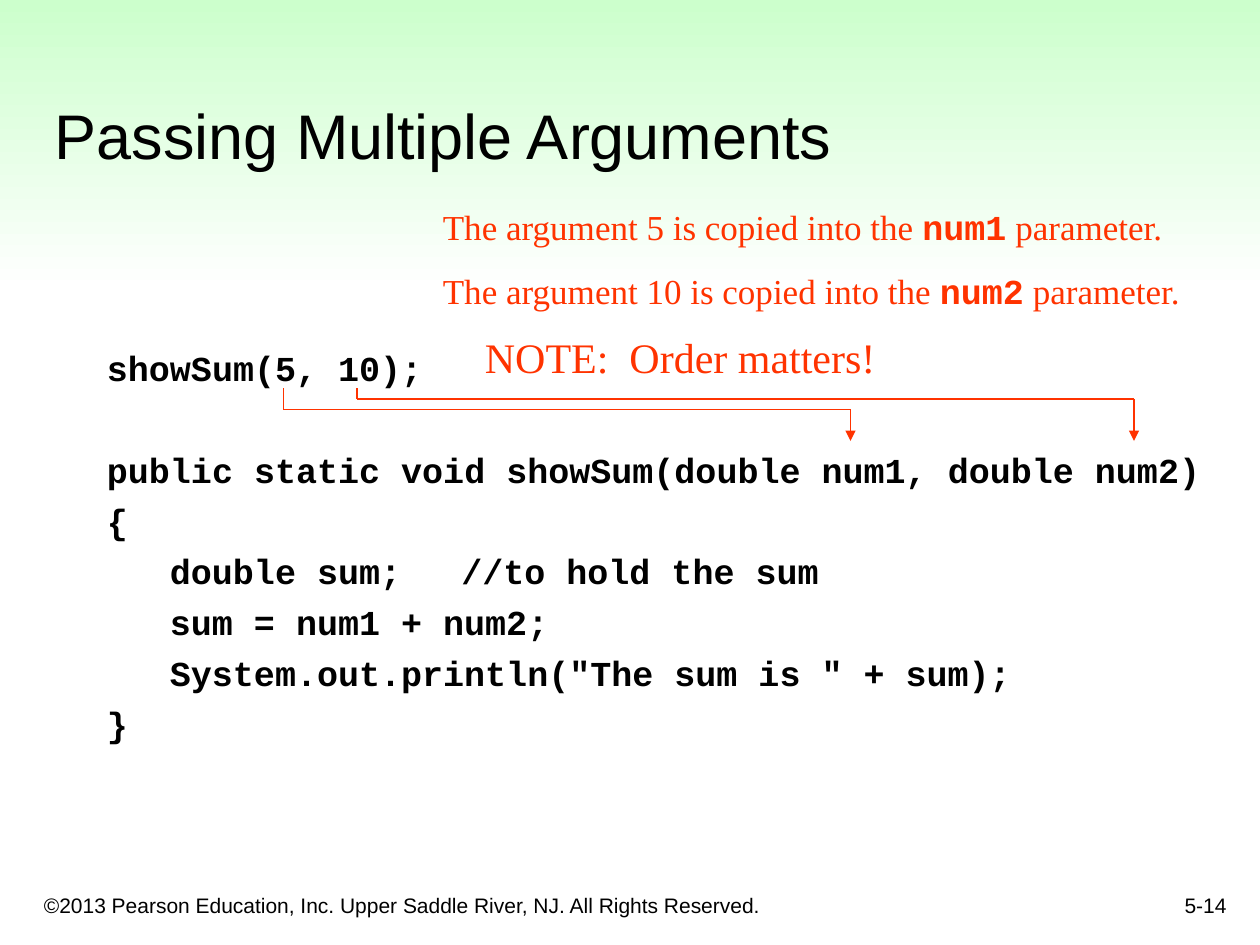
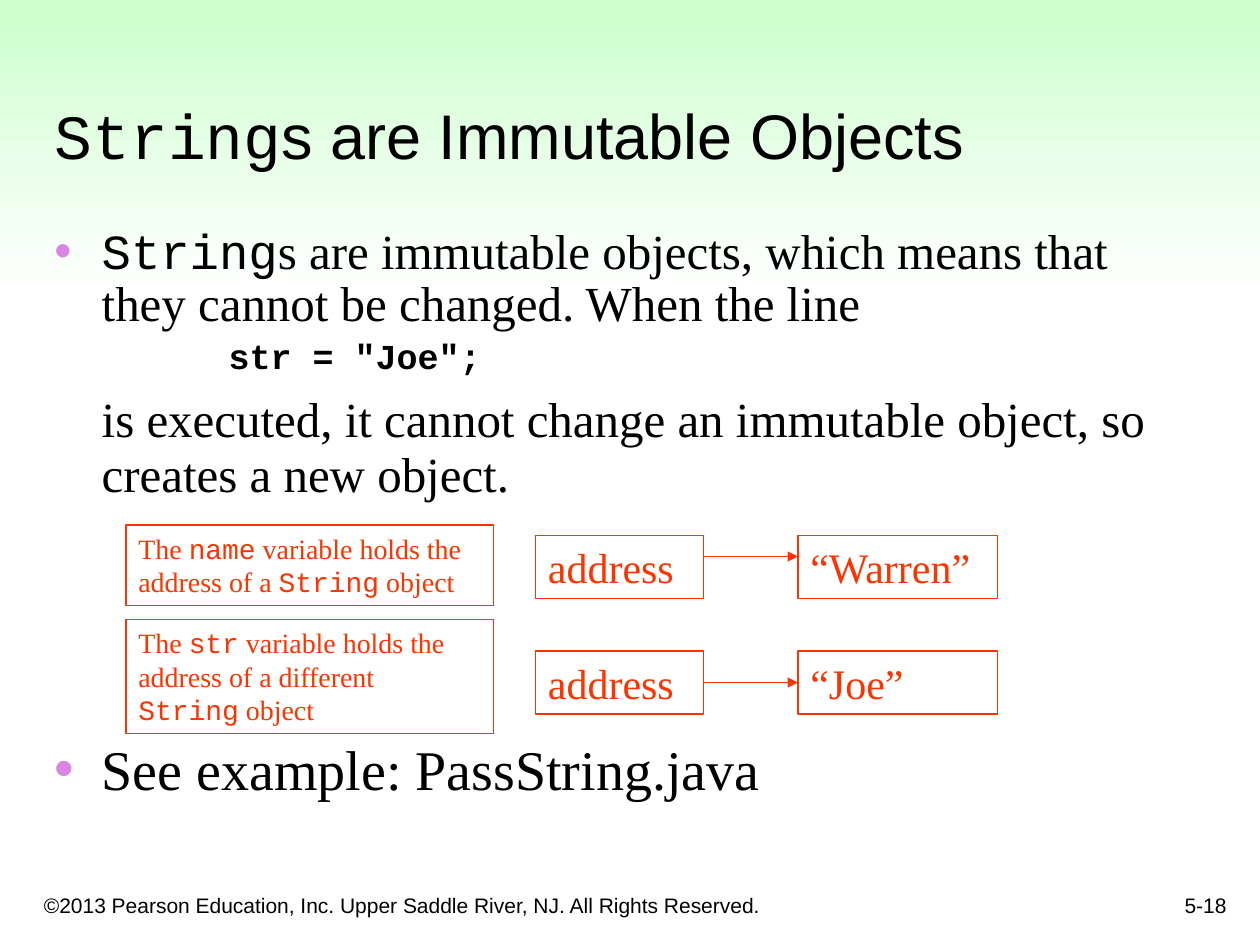
"""Build two lecture slides on passing arguments and immutable strings."""
from dataclasses import dataclass

from lxml import etree
from pptx import Presentation
from pptx import util as u
from pptx.dml.color import RGBColor
from pptx.enum import shapes as sh, text as tx
from pptx.oxml.ns import qn

Pt = u.Pt
COLORS = {"ink": "000000", "red": "FF3300", "dot": "D885E3",
          "mint": "CCFFCC", "white": "FFFFFF"}
SANS, SERIF, MONO = "Arial", "Times New Roman", "Courier New"
LEGAL = "©2013 Pearson Education, Inc. Upper Saddle River, NJ. All Rights Reserved."


@dataclass(frozen=True)
class Box:
    """Place of a shape, in points."""
    left: float
    top: float
    width: float
    height: float

    def lengths(self) -> list:
        """Return the four lengths for a shape call."""
        return [Pt(n) for n in (self.left, self.top, self.width, self.height)]


@dataclass(frozen=True)
class Code:
    """One line of code, with its step in and extra space before."""
    text: str
    deep: bool = False
    before: float = 5


@dataclass(frozen=True)
class Route:
    """Bent arrow from an argument to its parameter."""
    start: float
    level: float
    end: float


@dataclass(frozen=True)
class Link:
    """A variable, its address and the object it points to."""
    note: str
    value: str
    note_box: Box
    top: float
    arrow: float


TITLE = Box(24, 24, 678, 78.2)
BAND = Box(0, 0, 720, 167)
FOOT = Box(18, 498, 438, 30)
PAGE = Box(558, 492, 150, 36)
CODE = (
    Code("showSum(5, 10);", before=0),
    Code("public static void showSum(double num1, double num2)", before=34),
    Code("{"),
    Code("double sum;\t//to hold the sum", True),
    Code("sum = num1 + num2;", True),
    Code('System.out.println("The sum is " + sum);', True),
    Code("}"),
)
ROUTES = (Route(162, 234, 486), Route(204, 228, 648))
LINKS = (
    Link("The `name` variable holds the address of a `String` object",
         "“Warren”", Box(72, 300, 210, 46), 306, 318),
    Link("The `str` variable holds the address of a different `String` object",
         "“Joe”", Box(72, 354, 210, 65), 372, 390),
)


def tint(name: str) -> RGBColor:
    """Look up a colour by name."""
    return RGBColor.from_string(COLORS[name])


def write(shape, words: str, *, size: float, font: str = SERIF,
          color: str = "ink", bold: bool = False, mono_bold: bool = False,
          before: float = 0, spacing: float = 1, left: float = 0,
          hang: float = 0, bullet: bool = False, tab: float = 0,
          align=tx.PP_ALIGN.LEFT) -> None:
    """Add a paragraph; words between backticks are set in the code font."""
    frame = shape.text_frame
    para = frame.paragraphs[0] if not frame.text else frame.add_paragraph()
    props = para._p.get_or_add_pPr()
    props.set("marL", str(Pt(left)))
    props.set("indent", str(-Pt(hang)))
    if bullet:
        shade = etree.SubElement(props, qn("a:buClr"))
        etree.SubElement(shade, qn("a:srgbClr"), val=COLORS["dot"])
        etree.SubElement(props, qn("a:buFont"), typeface=SANS)
        etree.SubElement(props, qn("a:buChar"), char="•")
    else:
        etree.SubElement(props, qn("a:buNone"))
    if tab:
        stops = etree.SubElement(props, qn("a:tabLst"))
        etree.SubElement(stops, qn("a:tab"), pos=str(Pt(tab)), algn="l")
    para.alignment = align
    para.space_before = Pt(before)
    para.line_spacing = spacing
    for turn, part in enumerate(words.split("`")):
        if not part:
            continue
        code = turn % 2 == 1
        run = para.add_run()
        run.text = part
        run.font.name = MONO if code else font
        run.font.size = Pt(size)
        run.font.bold = mono_bold if code else bold
        run.font.color.rgb = tint(color)


def setup(shape, anchor=tx.MSO_ANCHOR.TOP):
    """Give a text shape the shared wrap, anchor and margins."""
    frame = shape.text_frame
    frame.word_wrap = True
    frame.auto_size = tx.MSO_AUTO_SIZE.NONE
    frame.vertical_anchor = anchor
    frame.margin_left = frame.margin_right = Pt(7.2)
    frame.margin_top = frame.margin_bottom = Pt(3.6)
    return shape


def label(slide, box: Box, anchor=tx.MSO_ANCHOR.TOP):
    """Add an empty text box."""
    return setup(slide.shapes.add_textbox(*box.lengths()), anchor)


def block(slide, box: Box):
    """Add a plain rectangle without fill, line or shadow."""
    shape = slide.shapes.add_shape(sh.MSO_SHAPE.RECTANGLE, *box.lengths())
    shape.shadow.inherit = False
    shape.fill.background()
    shape.line.fill.background()
    return setup(shape)


def frame(slide, box: Box, words: str, size: float):
    """Add a red outlined rectangle with red text."""
    shape = block(slide, box)
    shape.line.color.rgb = tint("red")
    shape.line.width = Pt(0.75)
    write(shape, words, size=size, color="red")
    return shape


def wire(slide, start: tuple, end: tuple, head: bool = False):
    """Draw a thin red line, with an arrowhead at its end if asked."""
    line = slide.shapes.add_connector(
        sh.MSO_CONNECTOR.STRAIGHT, *(Pt(n) for n in (*start, *end)))
    line.line.color.rgb = tint("red")
    line.line.width = Pt(0.75)
    if head:
        etree.SubElement(line.line._get_or_add_ln(), qn("a:tailEnd"), type="triangle")
    etree.SubElement(line.element.spPr, qn("a:effectLst"))
    return line


def start(deck, words: str, page: str):
    """Add a slide with the shared band, title and footers."""
    slide = deck.slides.add_slide(deck.slide_layouts[5])
    slide.background.fill.solid()
    slide.background.fill.fore_color.rgb = tint("white")
    title = slide.shapes.title
    title.left, title.top, title.width, title.height = TITLE.lengths()
    setup(title, tx.MSO_ANCHOR.BOTTOM)
    write(title, words, size=36, font=SANS)
    band = block(slide, BAND)
    band.fill.gradient()
    band.fill.gradient_angle = 270
    for stop, name in zip(band.fill.gradient_stops, ("mint", "white")):
        stop.color.rgb = tint(name)
    title.element.addprevious(band.element)
    write(label(slide, FOOT, tx.MSO_ANCHOR.BOTTOM), LEGAL, size=12, font=SANS)
    write(label(slide, PAGE, tx.MSO_ANCHOR.BOTTOM), page, size=12, font=SANS,
          align=tx.PP_ALIGN.RIGHT)
    return slide


def passing(deck) -> None:
    """Build the slide on passing several arguments."""
    slide = start(deck, "Passing Multiple Arguments", "5-14")
    body = label(slide, Box(54, 194.6, 655, 240))
    for line in CODE:
        write(body, line.text, size=20, font=MONO, bold=True,
              before=line.before, left=58.5 if line.deep else 27,
              hang=22.5 if line.deep else 27, tab=144 if "\t" in line.text else 0)
    notes = label(slide, Box(246, 114, 444, 68))
    for order, value in enumerate((5, 10)):
        write(notes, f"The argument {value} is copied into the `num{order + 1}` parameter.",
              size=20, color="red", mono_bold=True, before=12.5 * order)
    for route in ROUTES:
        near, far = (route.start, route.level), (route.end, route.level)
        wire(slide, (route.start, 222), near)
        wire(slide, near, far)
        wire(slide, far, (route.end, 252), head=True)
    write(label(slide, Box(270, 186, 312, 36)), "NOTE:  Order matters!",
          size=24, color="red")


def strings(deck) -> None:
    """Build the slide on immutable strings."""
    slide = start(deck, "`String`s are Immutable Objects", "5-18")
    body = label(slide, Box(24, 126, 660, 168))
    write(body, "`String`s are immutable objects, which means that they cannot be "
          "changed. When the line", size=28, spacing=0.9, left=27, hang=27, bullet=True)
    write(body, 'str = "Joe";', size=20, font=MONO, bold=True, before=4,
          spacing=0.9, left=99.5)
    write(body, "is executed, it cannot change an immutable object, so creates "
          "a new object.", size=28, before=9.5, spacing=0.93, left=27)
    for link in LINKS:
        frame(slide, link.note_box, link.note, 16)
        key = frame(slide, Box(306, link.top, 96, 36), "address", 24)
        value = frame(slide, Box(456, link.top, 114, 36), link.value, 24)
        arrow = wire(slide, (402, link.arrow), (456, link.arrow), head=True)
        if link.arrow == link.top + 18:
            arrow.begin_connect(key, 3)
            arrow.end_connect(value, 1)
    write(label(slide, Box(24, 416, 660, 46)), "See example: PassString.java",
          size=32, left=27, hang=27, bullet=True)


def main() -> None:
    """Build and save the deck."""
    deck = Presentation()
    deck.slide_width, deck.slide_height = Pt(720), Pt(540)
    passing(deck)
    strings(deck)
    deck.save("out.pptx")


if __name__ == "__main__":
    main()
